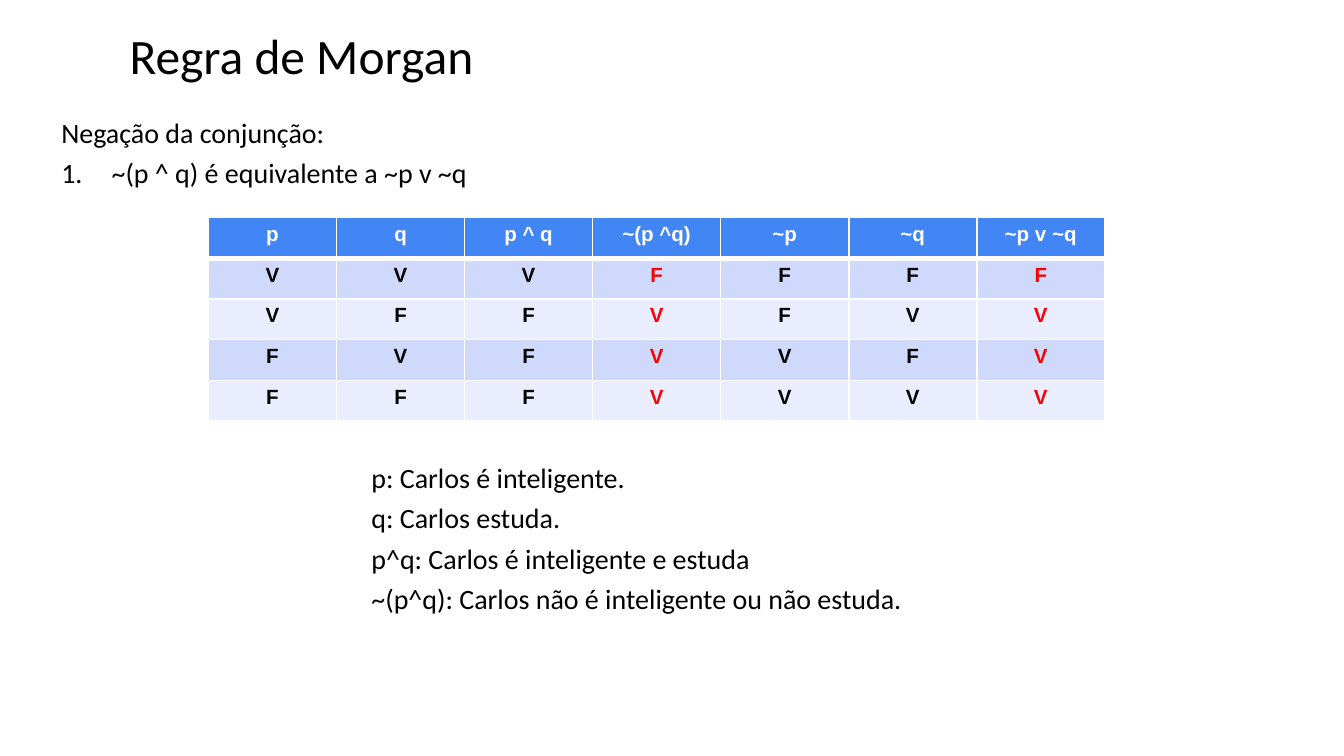
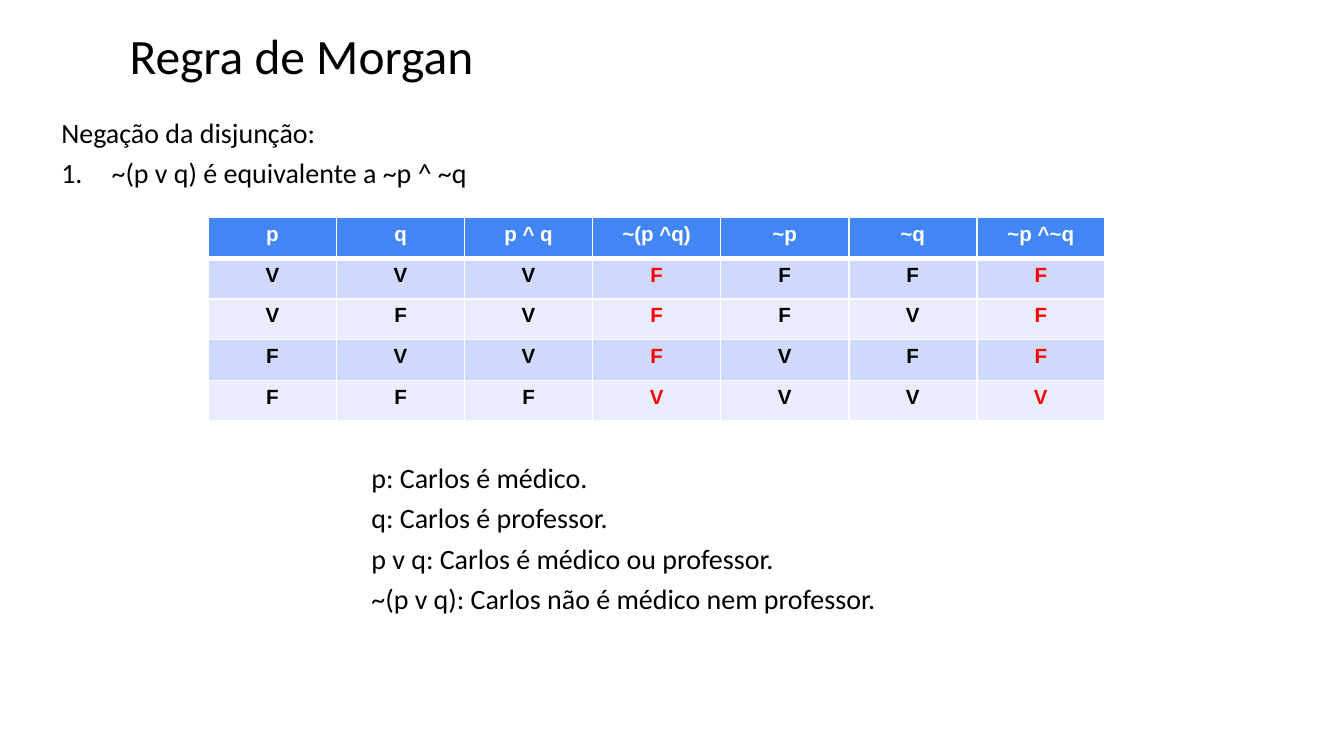
"""Build two slides on De Morgan's rules, each with a truth table."""
from dataclasses import dataclass

from lxml.etree import SubElement
from pptx import Presentation
from pptx.dml.color import RGBColor
from pptx.enum.text import MSO_AUTO_SIZE as AutoSize
from pptx.enum.text import PP_ALIGN as Align
from pptx.oxml.ns import qn
from pptx.util import Cm, Pt

BLACK = RGBColor(0x00, 0x00, 0x00)
WHITE = RGBColor(0xFF, 0xFF, 0xFF)
RED = RGBColor(0xFF, 0x00, 0x00)
HEADER_BLUE = RGBColor(0x42, 0x85, 0xF4)
ROW_BLUES = (RGBColor(0xCF, 0xD9, 0xFB), RGBColor(0xE9, 0xED, 0xFD))

TITLE = "Regra de Morgan"
TEXT_FONT, TABLE_FONT = "Calibri", "Arial"
SIDE_INSET, EDGE_INSET = Cm(0.19), Cm(0.1)
NUMBER_INDENT = Cm(0.95)
COLUMN_WIDTH, ROW_HEIGHT = Cm(2.42), Cm(0.77)
TABLE_LEFT, TABLE_TOP = Cm(3.94), Cm(4.11)
COMPARED_COLUMNS = (3, 6)


@dataclass(frozen=True)
class Area:
    left: Cm
    top: Cm
    width: Cm
    height: Cm


@dataclass(frozen=True)
class Rule:
    heading: str
    equivalence: str
    labels: tuple[str, ...]
    truth_rows: tuple[str, ...]
    examples: tuple[str, ...]


TITLE_AREA = Area(Cm(2.26), Cm(0.38), Cm(17.91), Cm(1.35))
RULE_AREA = Area(Cm(0.97), Cm(1.96), Cm(22.17), Cm(1.02))
EXAMPLE_AREA = Area(Cm(6.83), Cm(8.48), Cm(13.34), Cm(1.02))
SHARED_LABELS = ("p", "q", "p ^ q", "~(p ^q)", "~p", "~q")

RULES = (
    Rule(
        "Negação da conjunção:",
        "~(p ^ q) é equivalente a ~p v ~q",
        (*SHARED_LABELS, "~p v ~q"),
        ("VVVFFFF", "VFFVFVV", "FVFVVFV", "FFFVVVV"),
        (
            "p: Carlos é inteligente.",
            "q: Carlos estuda.",
            "p^q: Carlos é inteligente e estuda",
            "~(p^q): Carlos não é inteligente ou não estuda.",
        ),
    ),
    Rule(
        "Negação da disjunção:",
        "~(p v q) é equivalente a ~p ^ ~q",
        (*SHARED_LABELS, "~p ^~q"),
        ("VVVFFFF", "VFVFFVF", "FVVFVFF", "FFFVVVV"),
        (
            "p: Carlos é médico.",
            "q: Carlos é professor.",
            "p v q: Carlos é médico ou professor.",
            "~(p v q): Carlos não é médico nem professor.",
        ),
    ),
)


def set_font(para, name: str, size: float, color: RGBColor, bold: bool = False) -> None:
    """Set the font shared by all runs of a paragraph."""
    font = para.font
    font.name, font.size, font.bold = name, Pt(size), bold
    font.color.rgb = color


def set_insets(holder) -> None:
    """Set the margins of a text frame or table cell."""
    holder.margin_left = holder.margin_right = SIDE_INSET
    holder.margin_top = holder.margin_bottom = EDGE_INSET


def add_number(para) -> None:
    """Give a paragraph an automatic number and a hanging indent."""
    properties = para._p.get_or_add_pPr()
    properties.set("marL", str(NUMBER_INDENT))
    properties.set("indent", str(-NUMBER_INDENT))
    color = SubElement(properties, qn("a:buClr"))
    SubElement(color, qn("a:srgbClr"), val=str(BLACK))
    SubElement(properties, qn("a:buAutoNum"), type="arabicPeriod")


def add_text(page, area: Area, lines: tuple[str, ...], size: float = 15,
             align: Align = Align.JUSTIFY, spacing: float = 1.2,
             numbered: tuple[int, ...] = ()) -> None:
    """Add a text box with one paragraph per line."""
    box = page.shapes.add_textbox(area.left, area.top, area.width, area.height)
    frame = box.text_frame
    frame.word_wrap = True
    frame.auto_size = AutoSize.NONE
    set_insets(frame)
    for index, line in enumerate(lines):
        para = frame.add_paragraph() if index else frame.paragraphs[0]
        para.text = line
        para.alignment = align
        para.line_spacing = spacing
        if index in numbered:
            add_number(para)
        set_font(para, TEXT_FONT, size, BLACK)


def add_borders(cell, top: int, bottom: int) -> None:
    """Draw white borders around a cell, with widths in points."""
    properties = cell._tc.get_or_add_tcPr()
    for side, width in (("L", 1), ("R", 1), ("T", top), ("B", bottom)):
        line = SubElement(properties, qn(f"a:ln{side}"), w=str(Pt(width)))
        fill = SubElement(line, qn("a:solidFill"))
        SubElement(fill, qn("a:srgbClr"), val=str(WHITE))


def fill_cell(cell, text: str, row: int, column: int) -> None:
    """Write and style one cell of a truth table."""
    if row == 0:
        background, color = HEADER_BLUE, WHITE
    else:
        background = ROW_BLUES[(row - 1) % 2]
        color = RED if column in COMPARED_COLUMNS else BLACK
    set_insets(cell)
    add_borders(cell, top=3 if row == 1 else 1, bottom=3 if row == 0 else 1)
    cell.fill.solid()
    cell.fill.fore_color.rgb = background
    para = cell.text_frame.paragraphs[0]
    para.text = text
    para.alignment = Align.CENTER
    set_font(para, TABLE_FONT, 11, color, bold=True)


def add_truth_table(page, rule: Rule) -> None:
    """Add the truth table of a rule."""
    rows = (rule.labels, *rule.truth_rows)
    row_count, column_count = len(rows), len(rule.labels)
    table = page.shapes.add_table(
        row_count, column_count, TABLE_LEFT, TABLE_TOP,
        COLUMN_WIDTH * column_count, ROW_HEIGHT * row_count,
    ).table
    for column in table.columns:
        column.width = COLUMN_WIDTH
    for row_index, values in enumerate(rows):
        table.rows[row_index].height = ROW_HEIGHT
        for column_index, value in enumerate(values):
            cell = table.cell(row_index, column_index)
            fill_cell(cell, value, row_index, column_index)


def add_rule_page(deck, rule: Rule) -> None:
    """Add the slide that explains one rule."""
    page = deck.slides.add_slide(deck.slide_layouts[6])
    add_text(page, TITLE_AREA, (TITLE,), 26.5, Align.LEFT, 1.0)
    add_text(page, RULE_AREA, (rule.heading, rule.equivalence), numbered=(1,))
    add_truth_table(page, rule)
    add_text(page, EXAMPLE_AREA, rule.examples)


def main() -> None:
    """Build and save the deck."""
    deck = Presentation()
    deck.slide_width, deck.slide_height = Cm(25.4), Cm(14.29)
    for rule in RULES:
        add_rule_page(deck, rule)
    deck.save("out.pptx")


if __name__ == "__main__":
    main()
